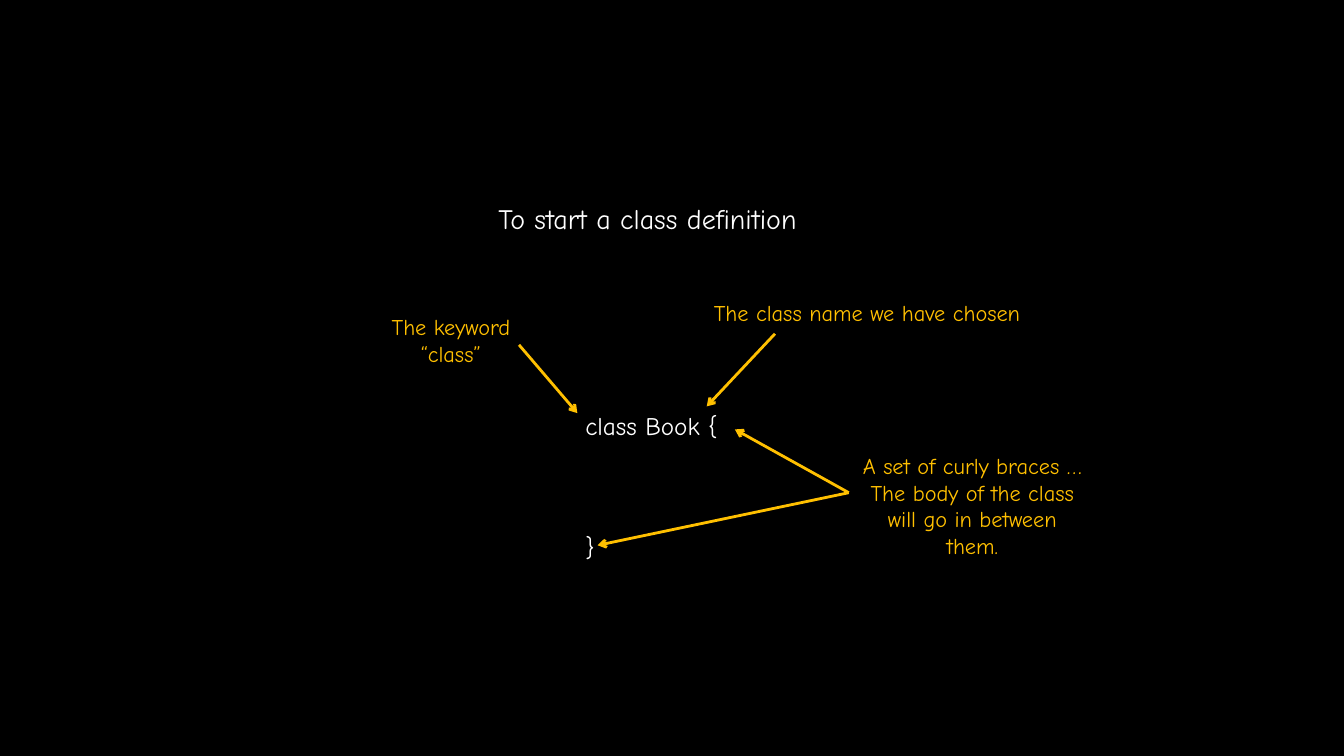
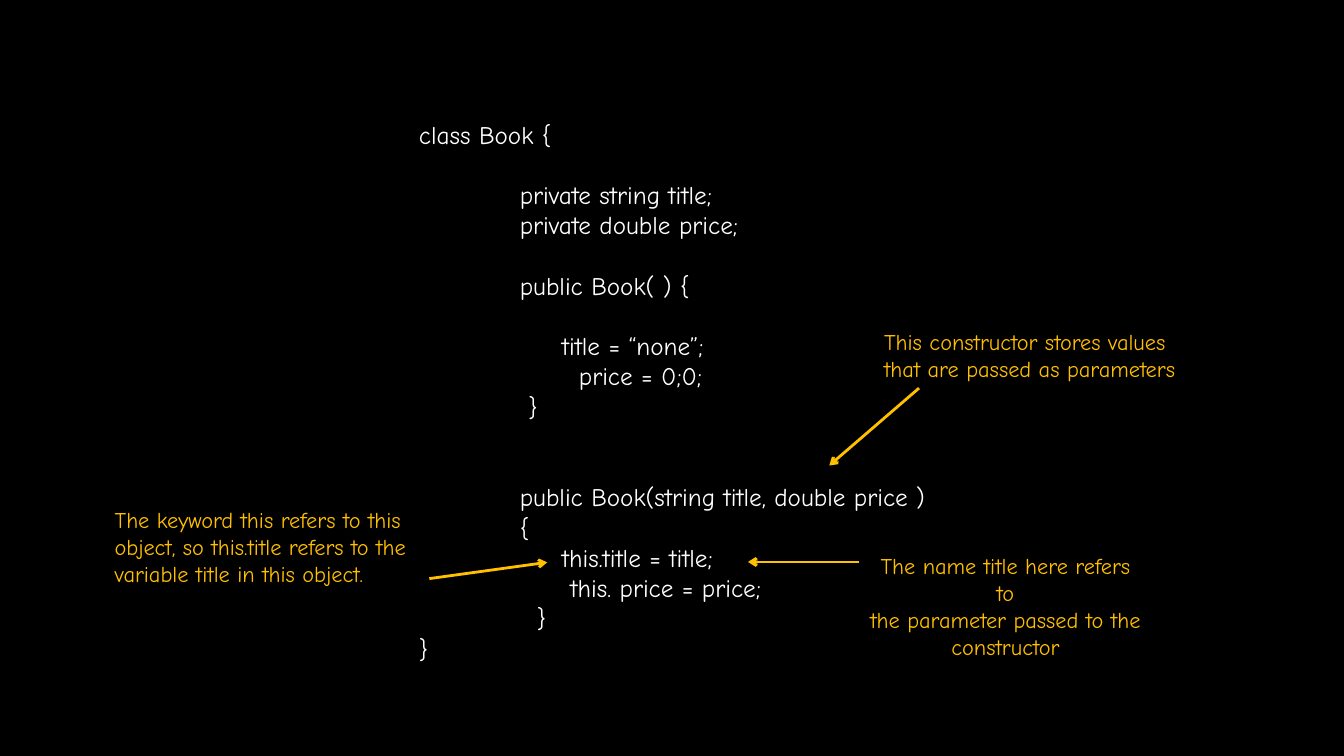
from lxml import etree
from pptx import Presentation
from pptx.dml.color import RGBColor
from pptx.enum import shapes, text
from pptx.oxml.ns import qn
from pptx.util import Cm, Pt

BLACK = RGBColor(0x00, 0x00, 0x00)
WHITE = RGBColor(0xFF, 0xFF, 0xFF)
GOLD = RGBColor(0xFF, 0xC0, 0x00)
FONT = "Comic Neue"
TITLE_SIZE, CODE_SIZE, NOTE_SIZE = 20, 18, 16
CODE_LINE = 21.6  # points taken by one line of code
CODE_TAB = Cm(2.54)
LEFT, CENTER = text.PP_ALIGN.LEFT, text.PP_ALIGN.CENTER
TITLE_ONLY, BLANK = 5, 6
LEFT_SIDE = 1

# Boxes are (left, top, width, height) and points are (x, y), in centimetres.
# An arrow starts at a point, or at the left side of the note with that name.
SLIDES = [
    {
        "title": ("To start a class definition", (12.02, 4.95, 8.6, 1.12)),
        "code": (["class Book {", "", "", "", "}"], (14.5, 10.21, 4.01, 4.11)),
        "notes": {
            "keyword": (["The keyword “class”"], (8.79, 7.77, 5.15, 0.94), CENTER),
            "name": (["The class name we have chosen"],
                     (17.73, 7.42, 8.24, 0.94), CENTER),
            "braces": (["A set of curly braces …",
                        "The body of the class",
                        "will go in between them."],
                       (21.39, 11.26, 6.23, 2.31), CENTER),
        },
        "arrows": [
            ((13.08, 8.69), (14.55, 10.41)),
            ((19.53, 8.41), (17.81, 10.24)),
            ("braces", (18.52, 10.82)),
            ("braces", (15.06, 13.74)),
        ],
    },
    {
        "code": ([
            "class Book {",
            "",
            "\tprivate string title;",
            "\tprivate double price;",
            "",
            "\tpublic Book( ) {",
            "",
            "\t     title = “none”;",
            "                   price = 0;0;",
            "             }",
            "",
            "",
            "\tpublic Book(string title, double price )",
            "\t{",
            "\t     this.title = title;",
            "                  this. price = price;",
            "              }",
            "}",
        ], (10.31, 2.87, 14.4, 14.1)),
        "notes": {
            "constructor": (["This constructor stores values",
                             "that are passed as parameters"],
                            (22.03, 8.15, 8.81, 1.63), LEFT),
            "this": (["The keyword this refers to this",
                      "object, so this.title refers to the",
                      "variable title in this object."],
                     (2.64, 12.63, 9.68, 2.31), LEFT),
            "parameter": (["The name title here refers to",
                           "the parameter passed to the",
                           "constructor"],
                          (21.64, 13.79, 7.4, 2.31), CENTER),
        },
        "arrows": [
            ((23.16, 9.78), (20.9, 11.73)),
            ((10.82, 14.58), (13.79, 14.17)),
            ((21.64, 14.16), (18.85, 14.16)),
        ],
    },
]


def style(p, size, color, align):
    p.alignment = align
    for r in p.runs:
        r.font.name = FONT
        r.font.size = Pt(size)
        r.font.color.rgb = color


def set_title(slide, title, box):
    sp = slide.shapes.title
    sp.left, sp.top, sp.width, sp.height = map(Cm, box)
    tf = sp.text_frame
    tf.text = title
    tf.word_wrap = True
    tf.auto_size = text.MSO_AUTO_SIZE.NONE
    tf.vertical_anchor = text.MSO_ANCHOR.TOP
    style(tf.paragraphs[0], TITLE_SIZE, WHITE, CENTER)


def add_tab_stop(p):
    tabs = etree.SubElement(p._p.get_or_add_pPr(), qn("a:tabLst"))
    etree.SubElement(tabs, qn("a:tab"), pos=str(CODE_TAB), algn="l")


def add_lines(slide, lines, box, size, color, align=LEFT):
    """Add a text box; empty lines become space before the next line."""
    sp = slide.shapes.add_textbox(*map(Cm, box))
    tf = sp.text_frame
    tf.word_wrap = False
    tf.auto_size = text.MSO_AUTO_SIZE.SHAPE_TO_FIT_TEXT
    gap = 0
    for i, line in enumerate(lines):
        if not line:
            gap += 1
            continue
        p = tf.add_paragraph() if i else tf.paragraphs[0]
        p.text = line
        if line.startswith("\t"):
            add_tab_stop(p)
        style(p, size, color, align)
        if gap:
            p.space_before = Pt(gap * CODE_LINE)
        gap = 0
    return sp


def add_arrow(slide, start, end, notes):
    note = notes.get(start)
    begin = (0, 0) if note else start
    arrow = slide.shapes.add_connector(
        shapes.MSO_CONNECTOR.STRAIGHT, *map(Cm, begin + end))
    if note:
        arrow.begin_connect(note, LEFT_SIDE)
    arrow.line.color.rgb = GOLD
    arrow.line.width = Pt(2)
    etree.SubElement(arrow.line._get_or_add_ln(), qn("a:tailEnd"), type="arrow")
    etree.SubElement(arrow._element.spPr, qn("a:effectLst"))


def main():
    prs = Presentation()
    prs.slide_width, prs.slide_height = Cm(33.87), Cm(19.05)
    fill = prs.slide_master.background.fill
    fill.solid()
    fill.fore_color.rgb = BLACK

    for content in SLIDES:
        layout = TITLE_ONLY if "title" in content else BLANK
        slide = prs.slides.add_slide(prs.slide_layouts[layout])
        if "title" in content:
            set_title(slide, *content["title"])
        add_lines(slide, *content["code"], CODE_SIZE, WHITE)
        notes = {
            name: add_lines(slide, lines, box, NOTE_SIZE, GOLD, align)
            for name, (lines, box, align) in content["notes"].items()
        }
        for start, end in content["arrows"]:
            add_arrow(slide, start, end, notes)

    prs.save("out.pptx")


if __name__ == "__main__":
    main()
